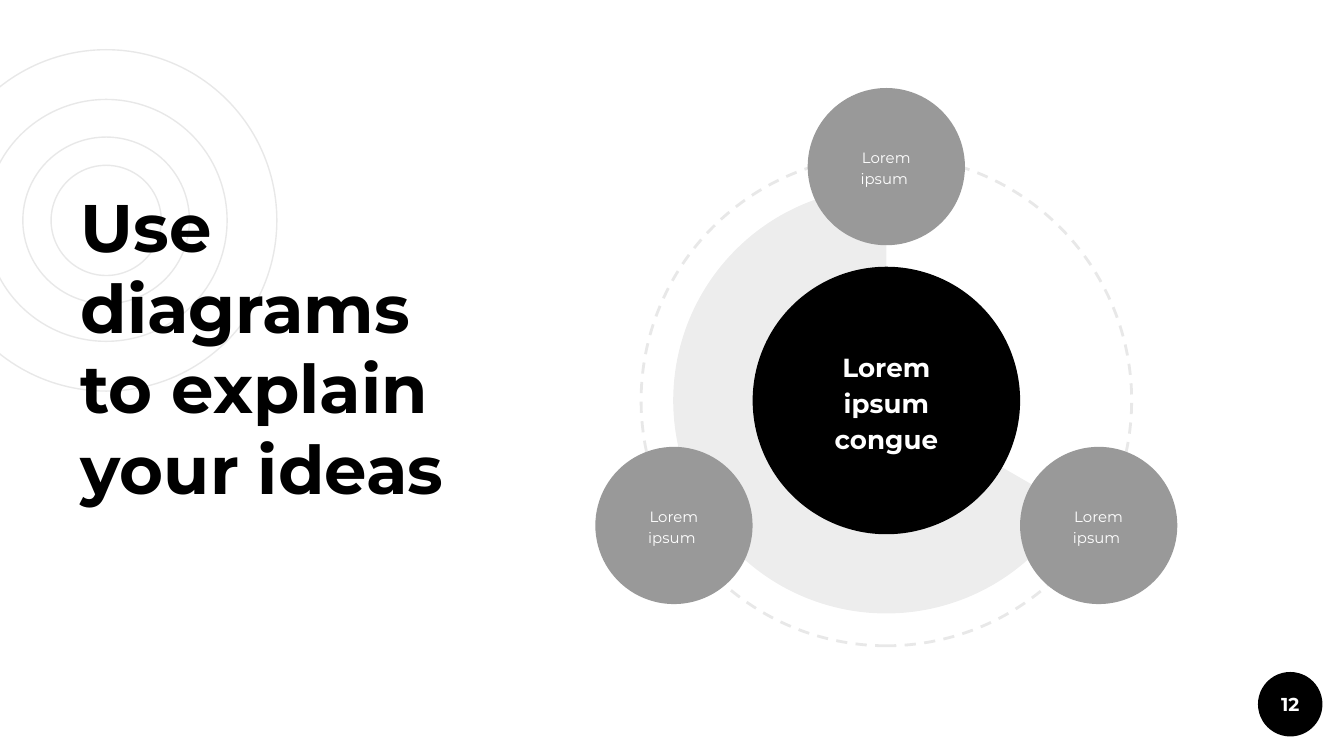
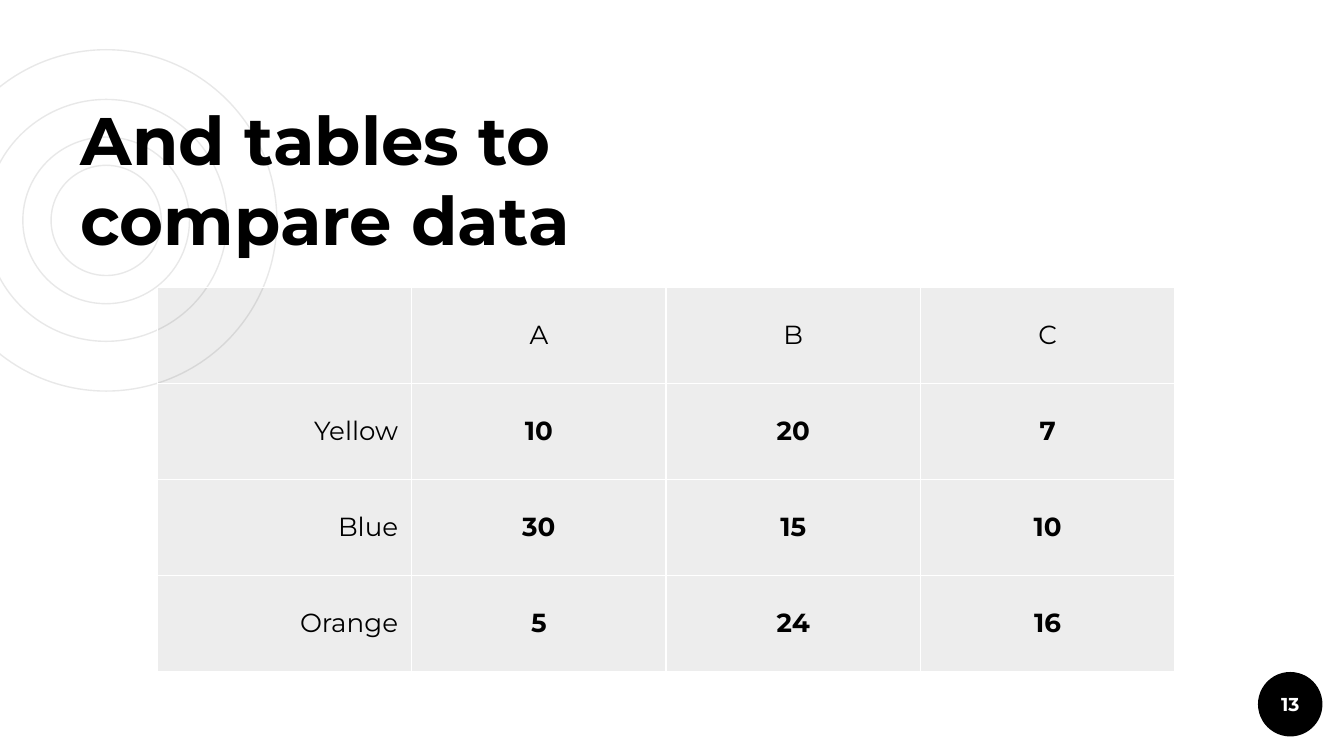
import lxml.etree
import pptx
import pptx.dml.color
import pptx.enum.dml
import pptx.enum.shapes
import pptx.enum.text
import pptx.oxml
import pptx.oxml.ns
import pptx.util

UNIT = pptx.util.Inches(0.1)
COLUMNS, ROWS = 100, 56.25
BLACK, WHITE, GREY, PALE = "000000", "FFFFFF", "999999", "E8E8E8"
TINT = 7
FACE = "Montserrat"
ALIGN = pptx.enum.text.PP_ALIGN
ANCHOR = pptx.enum.text.MSO_ANCHOR
SHAPE = pptx.enum.shapes.MSO_SHAPE


def paint(fill, color, opacity=100):
    fill.solid()
    fill.fore_color.rgb = pptx.dml.color.RGBColor.from_string(color)
    if opacity < 100:
        for node in fill._xPr.iter(pptx.oxml.ns.qn("a:srgbClr")):
            alpha = lxml.etree.SubElement(node, pptx.oxml.ns.qn("a:alpha"))
            alpha.set("val", str(opacity * 1000))


def disc(slide, center, diameter, fill=None, line=None, opacity=100, kind=SHAPE.OVAL):
    left, top = (int((c - diameter / 2) * UNIT) for c in center)
    side = int(diameter * UNIT)
    circle = slide.shapes.add_shape(kind, left, top, side, side)
    circle.shadow.inherit = False
    if fill:
        paint(circle.fill, fill, opacity)
    else:
        circle.fill.background()
    if line:
        paint(circle.line.fill, PALE)
        circle.line.width = pptx.util.Pt(line)
    else:
        circle.line.fill.background()
    return circle


deck = pptx.Presentation()
deck.slide_width = int(COLUMNS * UNIT)
deck.slide_height = int(ROWS * UNIT)

pages = [
    ("Use diagrams to explain your ideas", "12", (5, 12.8, 32.8, 32.2), ANCHOR.TOP),
    ("And tables to compare data", "13", (5, 12.8, 57.1, 7.5), ANCHOR.BOTTOM),
]
labels = []
for heading, number, box, anchor in pages:
    slide = deck.slides.add_slide(deck.slide_layouts[5])
    for diameter in (25.4, 12.4, 18, 8.2):
        disc(slide, (7.9, 16.4), diameter, line=0.75)
    badge = disc(slide, (96, 52.4), 4.8, BLACK)
    labels.append((badge, number, 10, True, 1, 0))

    title = slide.shapes.title
    title.left, title.top, title.width, title.height = (int(v * UNIT) for v in box)
    frame = title.text_frame
    frame.text = heading
    frame.auto_size = pptx.enum.text.MSO_AUTO_SIZE.NONE
    frame.vertical_anchor = anchor
    frame.margin_left = frame.margin_right = frame.margin_top = frame.margin_bottom = UNIT
    line = frame.paragraphs[0]
    line.alignment = ALIGN.LEFT
    line.font.name, line.font.size, line.font.bold = FACE, pptx.util.Pt(36), True
    paint(line.font.fill, BLACK)
    slide.shapes._spTree.append(title._element)

diagram, comparison = deck.slides

hub_x, hub_y = 65.95, 29.8
orbit = disc(diagram, (hub_x, hub_y), 36.5, line=1.5)
orbit.line.dash_style = pptx.enum.dml.MSO_LINE.DASH
orbit.rotation = 270
sector = disc(diagram, (hub_x, hub_y), 31.7, BLACK, opacity=TINT, kind=SHAPE.PIE)
for index, degrees in enumerate((30, 270)):
    sector.adjustments[index] = degrees * 0.6
hub = disc(diagram, (hub_x, hub_y), 19.9, BLACK)
labels.append((hub, "Lorem ipsum congue", 14, True, 1.15, UNIT))
for shift_x, shift_y in ((0, -17.4), (-15.8, 9.3), (15.8, 9.3)):
    satellite = disc(diagram, (hub_x + shift_x, hub_y + shift_y), 11.7, GREY)
    labels.append((satellite, "Lorem ipsum ", 8, False, 1.15, UNIT))

for circle, words, size, bold, spacing, margin in labels:
    frame = circle.text_frame
    frame.text = words
    frame.word_wrap = True
    frame.vertical_anchor = ANCHOR.MIDDLE
    frame.margin_left = frame.margin_right = frame.margin_top = frame.margin_bottom = margin
    line = frame.paragraphs[0]
    line.alignment = ALIGN.CENTER
    line.line_spacing = spacing
    line.font.name, line.font.size, line.font.bold = FACE, pptx.util.Pt(size), bold
    paint(line.font.fill, WHITE)

records = [
    ("", "A", "B", "C"),
    ("Yellow", "10", "20", "7"),
    ("Blue", "30", "15", "10"),
    ("Orange", "5", "24", "16"),
]
column_width, row_height = 18.93, 7.14
grid = comparison.shapes.add_table(
    len(records), len(records[0]), int(11.7 * UNIT), int(21.4 * UNIT),
    int(column_width * len(records[0]) * UNIT), int(row_height * len(records) * UNIT),
).table
grid.first_row = grid.horz_banding = False
for row in grid.rows:
    row.height = int(row_height * UNIT)
for r, record in enumerate(records):
    for c, value in enumerate(record):
        cell = grid.cell(r, c)
        cell.text = value
        cell.vertical_anchor = ANCHOR.MIDDLE
        cell.margin_left = cell.margin_right = UNIT
        cell.margin_top = cell.margin_bottom = int(0.7 * UNIT)
        line = cell.text_frame.paragraphs[0]
        line.alignment = ALIGN.CENTER if c else ALIGN.RIGHT
        line.font.name, line.font.size = FACE, pptx.util.Pt(14)
        line.font.bold = r > 0 and c > 0
        paint(line.font.fill, BLACK)
        for edge in ("lnL", "lnR", "lnT", "lnB"):
            cell._tc.get_or_add_tcPr().append(pptx.oxml.parse_xml(
                f'<a:{edge} {pptx.oxml.ns.nsdecls("a")} w="9525"><a:solidFill>'
                f'<a:srgbClr val="{WHITE}"/></a:solidFill></a:{edge}>'))
        paint(cell.fill, BLACK, TINT)

deck.save("out.pptx")
